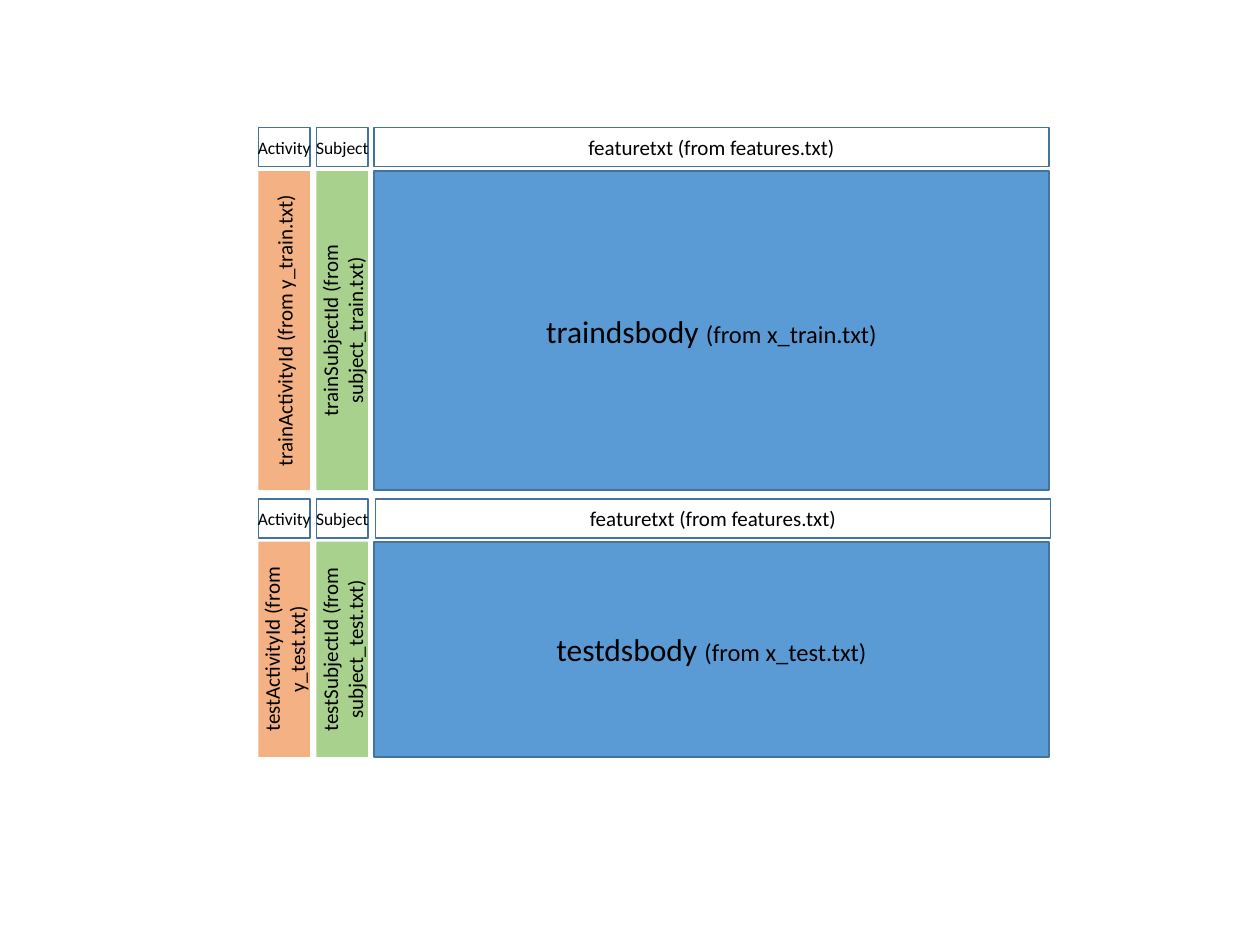
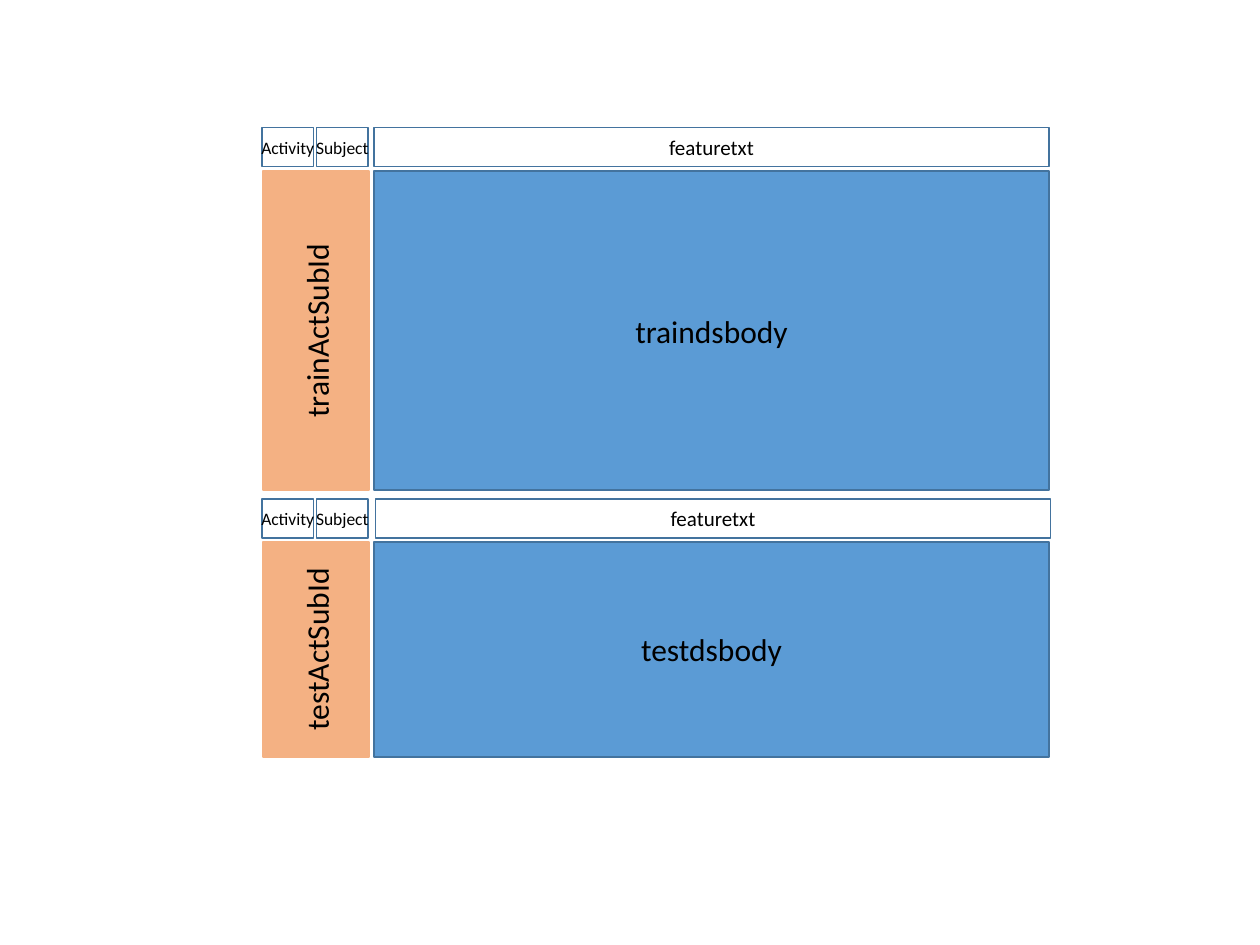
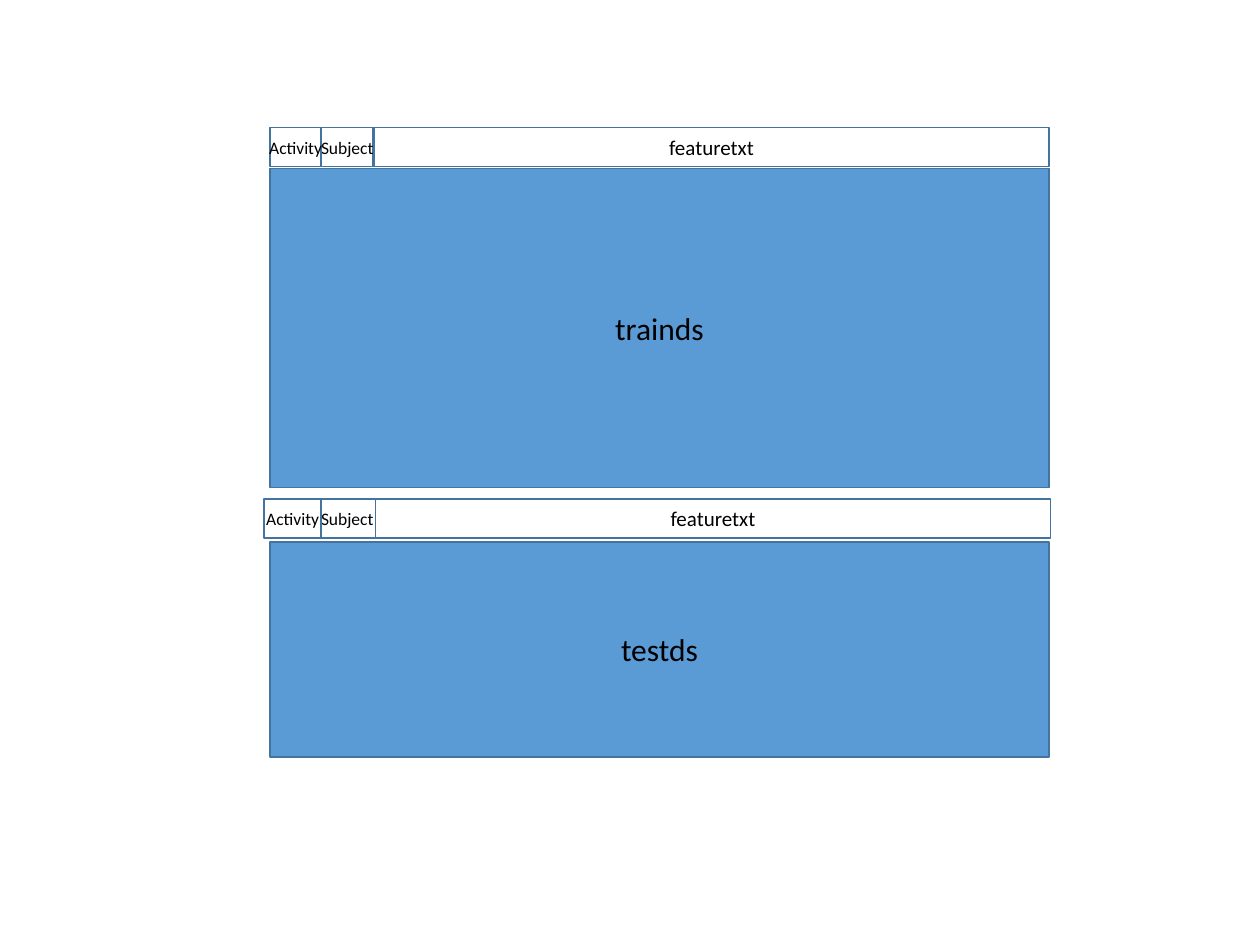
import dataclasses

import pptx
import pptx.dml.color
import pptx.enum.shapes
import pptx.enum.text
import pptx.util

Cm = pptx.util.Cm
RGBColor = pptx.dml.color.RGBColor

BLUE = RGBColor(0x5B, 0x9B, 0xD5)
OUTLINE = RGBColor(0x43, 0x73, 0x9E)
GREEN = RGBColor(0xA9, 0xD1, 0x8E)
ORANGE = RGBColor(0xF4, 0xB1, 0x83)
WHITE = RGBColor(0xFF, 0xFF, 0xFF)
BLACK = RGBColor(0x00, 0x00, 0x00)

FONT = "Calibri"
BODY_LEFT = 7.54
BODY_WIDTH = 13.61
BODY_RIGHT = BODY_LEFT + BODY_WIDTH
HEADING_HEIGHT = 0.79
KEY_WIDTH = 1.04
ACTIVITY_LEFT = 5.21
SUBJECT_LEFT = 6.38


@dataclasses.dataclass
class Dataset:
    name: str
    heading_top: float
    body_top: float
    body_height: float
    feature_left: float


TEST = Dataset("test", 10.06, 10.92, 4.34, 7.57)
TRAIN = Dataset("train", 2.57, 3.45, 6.43, BODY_LEFT)
DATASETS = (TEST, TRAIN)


def write_text(box, spans, wrap=True, upright=False, color=BLACK):
    frame = box.text_frame
    frame.word_wrap = wrap
    frame.vertical_anchor = pptx.enum.text.MSO_ANCHOR.MIDDLE
    if upright:
        frame._txBody.bodyPr.set("vert", "vert270")
    para = frame.paragraphs[0]
    para.alignment = pptx.enum.text.PP_ALIGN.CENTER
    for text, size in spans:
        span = para.add_run()
        span.text = text
        span.font.name = FONT
        span.font.size = pptx.util.Pt(size)
        span.font.color.rgb = color


class Diagram:
    def __init__(self):
        self.deck = pptx.Presentation()
        self.deck.slide_width = Cm(25.4)
        self.deck.slide_height = Cm(19.05)
        self.page = None

    def new_page(self):
        self.page = self.deck.slides.add_slide(self.deck.slide_layouts[6])

    def block(self, left, top, width, height, spans, fill, line=OUTLINE, **text_format):
        box = self.page.shapes.add_shape(
            pptx.enum.shapes.MSO_SHAPE.RECTANGLE,
            Cm(left), Cm(top), Cm(width), Cm(height),
        )
        box.shadow.inherit = False
        box.fill.solid()
        box.fill.fore_color.rgb = fill
        if line is None:
            box.line.fill.background()
        else:
            box.line.color.rgb = line
            box.line.width = pptx.util.Pt(1)
        write_text(box, spans, **text_format)

    def body(self, dataset, spans, left=BODY_LEFT, rise=0):
        self.block(left, dataset.body_top - rise, BODY_RIGHT - left,
                   dataset.body_height, spans, BLUE)

    def id_column(self, dataset, left, width, text, size, fill, line=None):
        self.block(left, dataset.body_top, width, dataset.body_height,
                   [(text, size)], fill, line, upright=True)

    def feature_heading(self, dataset, text):
        self.block(dataset.feature_left, dataset.heading_top, BODY_WIDTH,
                   HEADING_HEIGHT, [(text, 12)], WHITE)

    def key_headings(self, dataset, activity_left, subject_left, width=KEY_WIDTH):
        for text, left in (("Subject", subject_left), ("Activity", activity_left)):
            self.block(left, dataset.heading_top, width, HEADING_HEIGHT,
                       [(text, 10)], WHITE, wrap=False)

    def save(self):
        self.deck.save("out.pptx")


def build_source_files(diagram):
    diagram.new_page()
    for dataset in DATASETS:
        name = dataset.name
        diagram.body(dataset, [(f"{name}dsbody ", 18), (f"(from x_{name}.txt)", 14)])
        diagram.id_column(dataset, SUBJECT_LEFT, KEY_WIDTH,
                          f"{name}SubjectId (from subject_{name}.txt)", 12, GREEN)
        diagram.id_column(dataset, ACTIVITY_LEFT, KEY_WIDTH,
                          f"{name}ActivityId (from y_{name}.txt)", 12, ORANGE)
    for dataset in DATASETS:
        diagram.feature_heading(dataset, "featuretxt (from features.txt)")
        diagram.key_headings(dataset, ACTIVITY_LEFT, SUBJECT_LEFT)


def build_joined_ids(diagram):
    diagram.new_page()
    for dataset in DATASETS:
        diagram.body(dataset, [(f"{dataset.name}dsbody", 18)])
        diagram.id_column(dataset, 5.31, 2.13, f"{dataset.name}ActSubId", 18,
                          ORANGE, ORANGE)
    for dataset in DATASETS:
        diagram.feature_heading(dataset, "featuretxt")
        diagram.key_headings(dataset, 5.28, SUBJECT_LEFT)


def build_complete_sets(diagram):
    left = 5.44
    diagram.new_page()
    diagram.body(TEST, [("testds", 18)], left)
    diagram.body(TRAIN, [("trainds", 18)], left, rise=0.05)
    for dataset in DATASETS:
        diagram.feature_heading(dataset, "featuretxt")
    diagram.key_headings(TEST, 5.33, 6.43, 1.14)
    diagram.key_headings(TRAIN, left, left + KEY_WIDTH)


diagram = Diagram()
build_source_files(diagram)
build_joined_ids(diagram)
build_complete_sets(diagram)
diagram.save()
